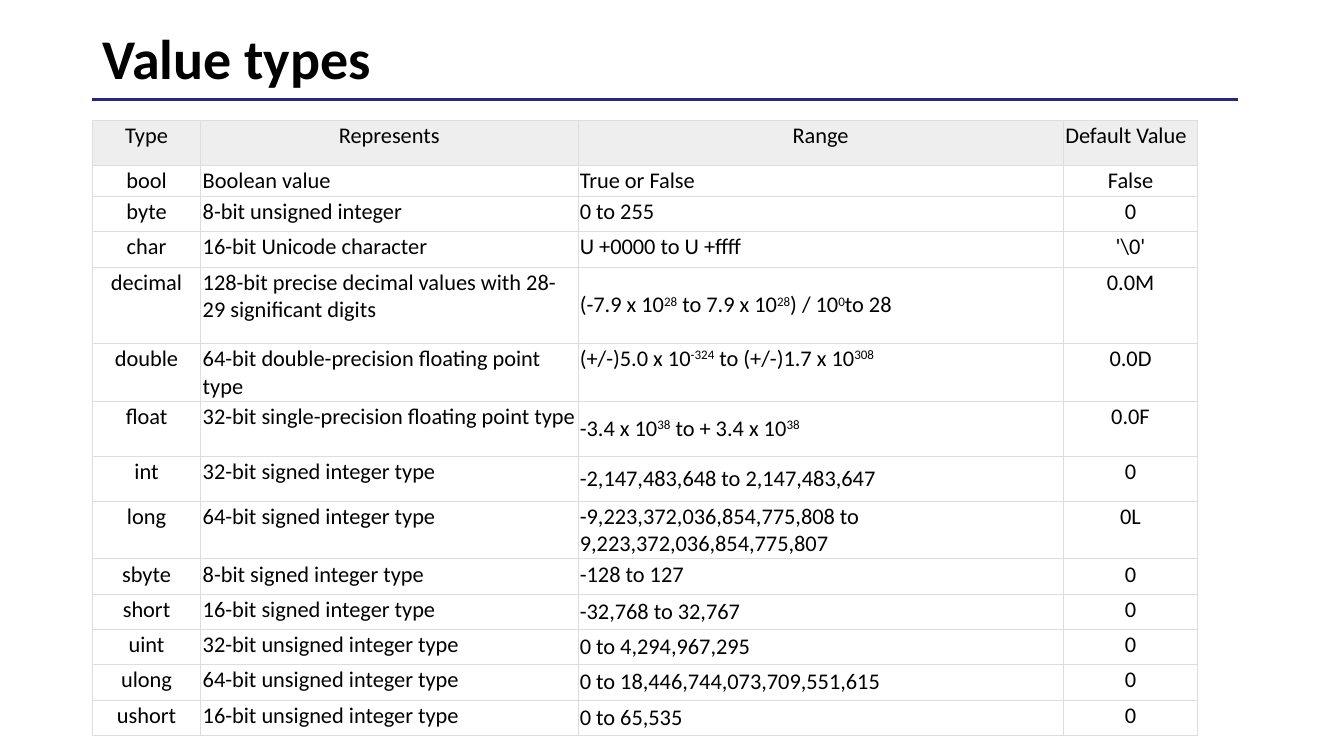
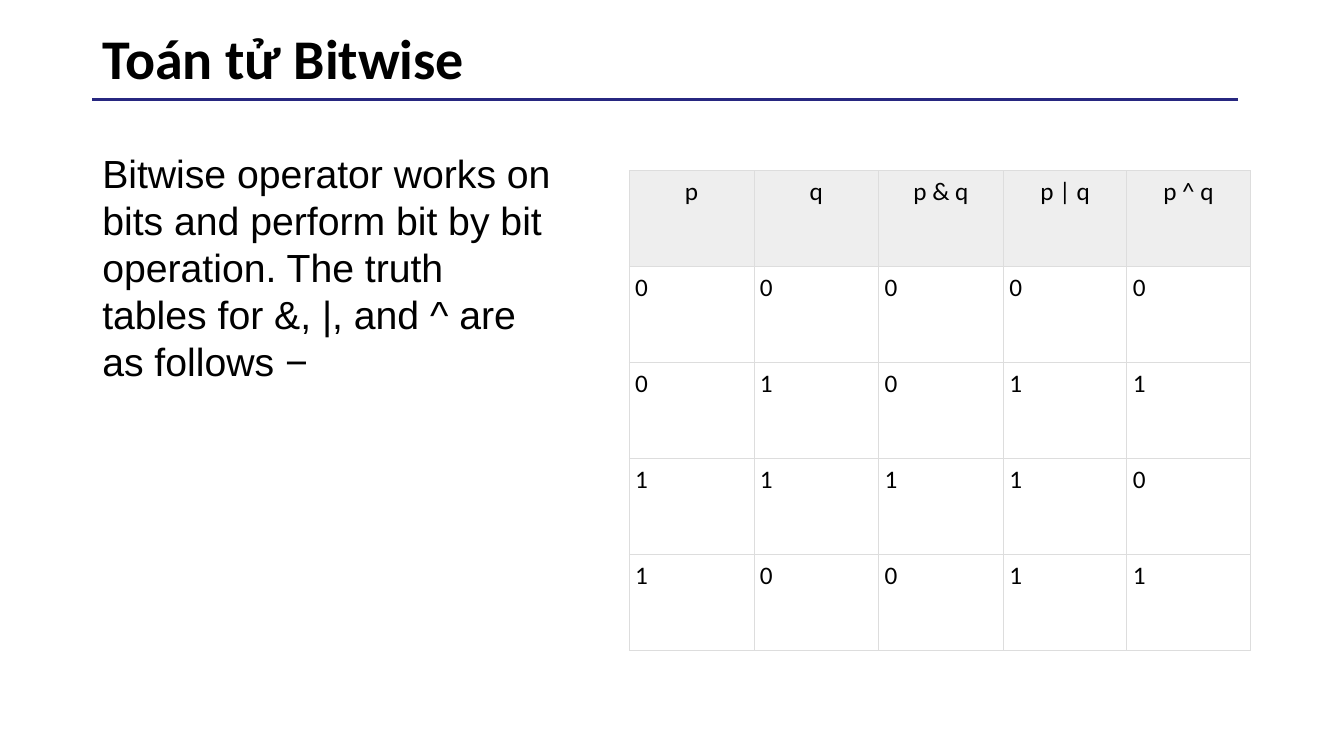
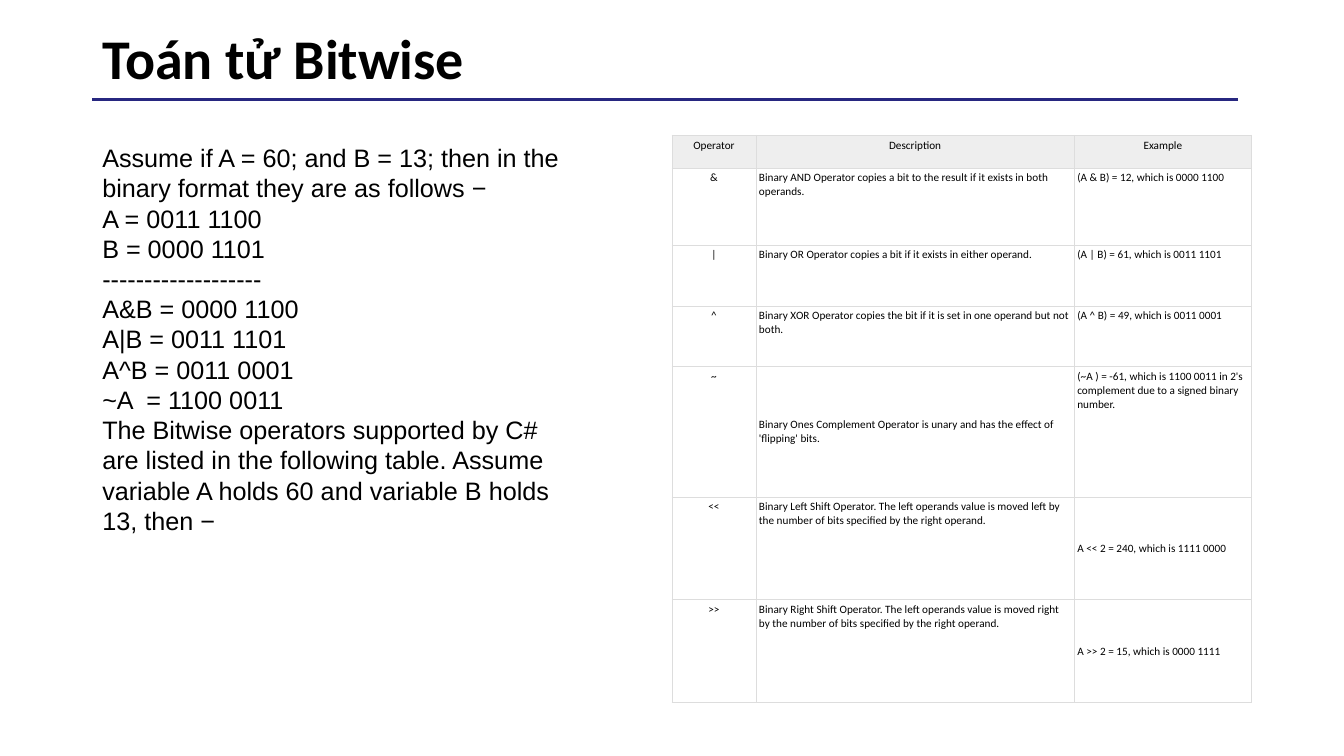
import pptx
import pptx.dml.color
import pptx.enum.shapes
import pptx.enum.text
import pptx.oxml
import pptx.oxml.ns
import pptx.util
import lxml.etree

ALIGN = pptx.enum.text.PP_ALIGN
ANCHOR = pptx.enum.text.MSO_ANCHOR


def colour(hex_string):
    return pptx.dml.color.RGBColor.from_string(hex_string)


class Deck:
    """Style and current slide; lengths are counted on a grid of 160 columns by 90 rows."""

    COLUMNS, ROWS = 160, 90
    LEFT = 11
    INK, RULE, HEADER, BORDER = "000000", "272780", "EEEEEE", "DDDDDD"
    HEADING_FONT, BODY_FONT = "Calibri", "Arial"

    def __init__(self):
        self.presentation = pptx.Presentation()
        self.presentation.slide_width = pptx.util.Inches(self.COLUMNS / 12)
        self.presentation.slide_height = pptx.util.Inches(self.ROWS / 12)
        self.slide = None

    def grid(self, *counts):
        cell = self.presentation.slide_height / self.ROWS
        return [pptx.util.Emu(round(count * cell)) for count in counts]

    def add_slide(self, title):
        self.slide = self.presentation.slides.add_slide(self.presentation.slide_layouts[6])
        self.rule(147.4, 11.8)
        self.text([title], (self.LEFT, 2, 138, 10.7), 40, self.HEADING_FONT, bold=True, spacing=0.9)

    def rule(self, right, row):
        start_x, end_x, y = self.grid(right, self.LEFT, row)
        line = self.slide.shapes.add_connector(
            pptx.enum.shapes.MSO_CONNECTOR.STRAIGHT, start_x, y, end_x, y)
        line.line.color.rgb = colour(self.RULE)
        line.line.width = pptx.util.Pt(2)
        properties = line._element.spPr
        lxml.etree.SubElement(properties, pptx.oxml.ns.qn("a:effectLst"))

    def style(self, paragraph, size, font, bold=False, alignment=ALIGN.LEFT):
        paragraph.alignment = alignment
        paragraph.font.size = pptx.util.Pt(size)
        paragraph.font.name = font
        paragraph.font.bold = bold
        paragraph.font.color.rgb = colour(self.INK)

    def text(self, lines, box, size, font=BODY_FONT, bold=False, spacing=None):
        frame = self.slide.shapes.add_textbox(*self.grid(*box)).text_frame
        frame.word_wrap = True
        frame.vertical_anchor = ANCHOR.MIDDLE
        for index, line in enumerate(lines):
            paragraph = frame.add_paragraph() if index else frame.paragraphs[0]
            paragraph.add_run().text = line
            paragraph.line_spacing = spacing
            self.style(paragraph, size, font, bold)

    def table(self, rows, place, widths, heights, size, inset,
              centred=(), left_headers=(), middle=()):
        """Cells are strings, or tuples that alternate normal and raised text."""
        frame = self.slide.shapes.add_table(
            len(rows), len(widths), *self.grid(*place, sum(widths), sum(heights)))
        table = frame.table
        table.first_row = table.horz_banding = False
        for column, width in zip(table.columns, self.grid(*widths)):
            column.width = width
        for row, height in zip(table.rows, self.grid(*heights)):
            row.height = height
        for row_index, row in enumerate(rows):
            for column_index, content in enumerate(row):
                cell = table.cell(row_index, column_index)
                is_header = row_index == 0
                in_centre = column_index not in left_headers if is_header else column_index in centred
                self.fill_cell(cell, content, size, inset, ALIGN.CENTER if in_centre else ALIGN.LEFT)
                if (row_index, column_index) in middle:
                    cell.vertical_anchor = ANCHOR.MIDDLE
                if is_header:
                    cell.fill.solid()
                    cell.fill.fore_color.rgb = colour(self.HEADER)
                else:
                    cell.fill.background()
                self.border(cell)

    def fill_cell(self, cell, content, size, inset, alignment):
        margin = pptx.util.Inches(inset)
        cell.margin_left = cell.margin_right = cell.margin_top = cell.margin_bottom = margin
        paragraph = cell.text_frame.paragraphs[0]
        parts = (content,) if isinstance(content, str) else content
        for index, part in enumerate(parts):
            run = paragraph.add_run()
            run.text = part
            if index % 2:
                run._r.get_or_add_rPr().set("baseline", "30000")
        self.style(paragraph, size, self.HEADING_FONT, alignment=alignment)

    def border(self, cell):
        properties = cell._tc.get_or_add_tcPr()
        for index, side in enumerate(("lnL", "lnR", "lnT", "lnB")):
            properties.insert(index, pptx.oxml.parse_xml(
                f'<a:{side} {pptx.oxml.ns.nsdecls("a")} w="{pptx.util.Pt(0.5)}"><a:solidFill>'
                f'<a:srgbClr val="{self.BORDER}"/></a:solidFill></a:{side}>'))


def value_types(deck):
    deck.add_slide("Value types")
    rows = [
        ("Type", "Represents", "Range", "Default Value"),
        ("bool", "Boolean value", "True or False", "False"),
        ("byte", "8-bit unsigned integer", "0 to 255", "0"),
        ("char", "16-bit Unicode character", "U +0000 to U +ffff", r"'\0'"),
        ("decimal", "128-bit precise decimal values with 28-29 significant digits",
         ("(-7.9 x 10", "28", " to 7.9 x 10", "28", ") / 10", "0", "to 28"), "0.0M"),
        ("double", "64-bit double-precision floating point type",
         ("(+/-)5.0 x 10", "-324", " to (+/-)1.7 x 10", "308"), "0.0D"),
        ("float", "32-bit single-precision floating point type",
         ("-3.4 x 10", "38", " to + 3.4 x 10", "38"), "0.0F"),
        ("int", "32-bit signed integer type", "-2,147,483,648 to 2,147,483,647", "0"),
        ("long", "64-bit signed integer type",
         "-9,223,372,036,854,775,808 to 9,223,372,036,854,775,807", "0L"),
        ("sbyte", "8-bit signed integer type", "-128 to 127", "0"),
        ("short", "16-bit signed integer type", "-32,768 to 32,767", "0"),
        ("uint", "32-bit unsigned integer type", "0 to 4,294,967,295", "0"),
        ("ulong", "64-bit unsigned integer type", "0 to 18,446,744,073,709,551,615", "0"),
        ("ushort", "16-bit unsigned integer type", "0 to 65,535", "0"),
    ]
    heights = [5.4, 3.5, 4.2, 4.2, 9.1, 6.6, 6.6, 5.3, 6.6] + [4.2] * 5
    deck.table(rows, (deck.LEFT, 14.3), [12.9, 44.9, 57.8, 16], heights, 16, 0.02,
               centred=(0, 3), left_headers=(3,),
               middle=[(row, 2) for row in (4, 6, 7, 10, 11, 12, 13)])


def truth_table(deck):
    deck.add_slide("Toán tử Bitwise")
    inputs = [(0, 0), (0, 1), (1, 1), (1, 0)]
    rows = [("p", "q", "p & q", "p | q", "p ^ q")]
    rows += [tuple(map(str, (p, q, p & q, p | q, p ^ q))) for p, q in inputs]
    deck.table(rows, (74.9, 20.3), [14.85] * 3 + [14.7] * 2, [11.42] * 5, 18, 0.06)
    deck.text(["Bitwise operator works on bits and perform bit by bit operation. "
               "The truth tables for &, |, and ^ are as follows −"],
              (deck.LEFT, 17, 55.8, 29.5), 28)


def bitwise_operators(deck):
    deck.add_slide("Toán tử Bitwise")
    rows = [
        ("Operator", "Description", "Example"),
        ("&", "Binary AND Operator copies a bit to the result if it exists in both operands.",
         "(A & B) = 12, which is 0000 1100"),
        ("|", "Binary OR Operator copies a bit if it exists in either operand.",
         "(A | B) = 61, which is 0011 1101"),
        ("^", "Binary XOR Operator copies the bit if it is set in one operand but not both.",
         "(A ^ B) = 49, which is 0011 0001"),
        ("~", "Binary Ones Complement Operator is unary and has the effect of 'flipping' bits.",
         "(~A ) = -61, which is 1100 0011 in 2's complement due to a signed binary number."),
        ("<<", "Binary Left Shift Operator. The left operands value is moved left by the number "
         "of bits specified by the right operand.", "A << 2 = 240, which is 1111 0000"),
        (">>", "Binary Right Shift Operator. The left operands value is moved right by the number "
         "of bits specified by the right operand.", "A >> 2 = 15, which is 0000 1111"),
    ]
    deck.table(rows, (80, 16.1), [10, 37.9, 21.1], [3.9, 9.17, 7.25, 7.25, 15.5, 12.25, 12.25],
               8, 0.03, centred=(0,), middle=[(4, 1), (5, 2), (6, 2)])
    deck.text(["Assume if A = 60; and B = 13; then in the binary format they are as follows −",
               "A = 0011 1100", "B = 0000 1101", "-" * 19,
               "A&B = 0000 1100", "A|B = 0011 1101", "A^B = 0011 0001", "~A  = 1100 0011",
               "The Bitwise operators supported by C# are listed in the following table. "
               "Assume variable A holds 60 and variable B holds 13, then −"],
              (deck.LEFT, 16.1, 59, 48.5), 18)


def main():
    deck = Deck()
    for build in (value_types, truth_table, bitwise_operators):
        build(deck)
    deck.presentation.save("out.pptx")


if __name__ == "__main__":
    main()
